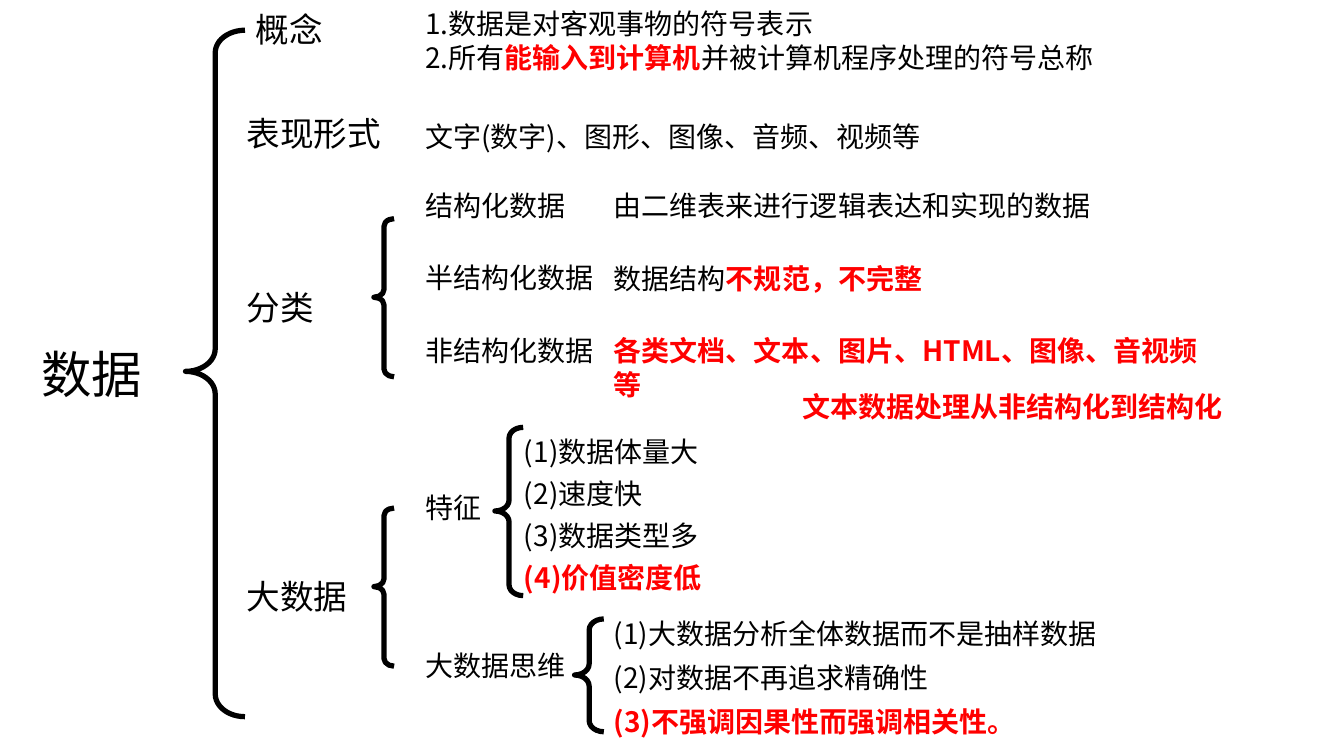
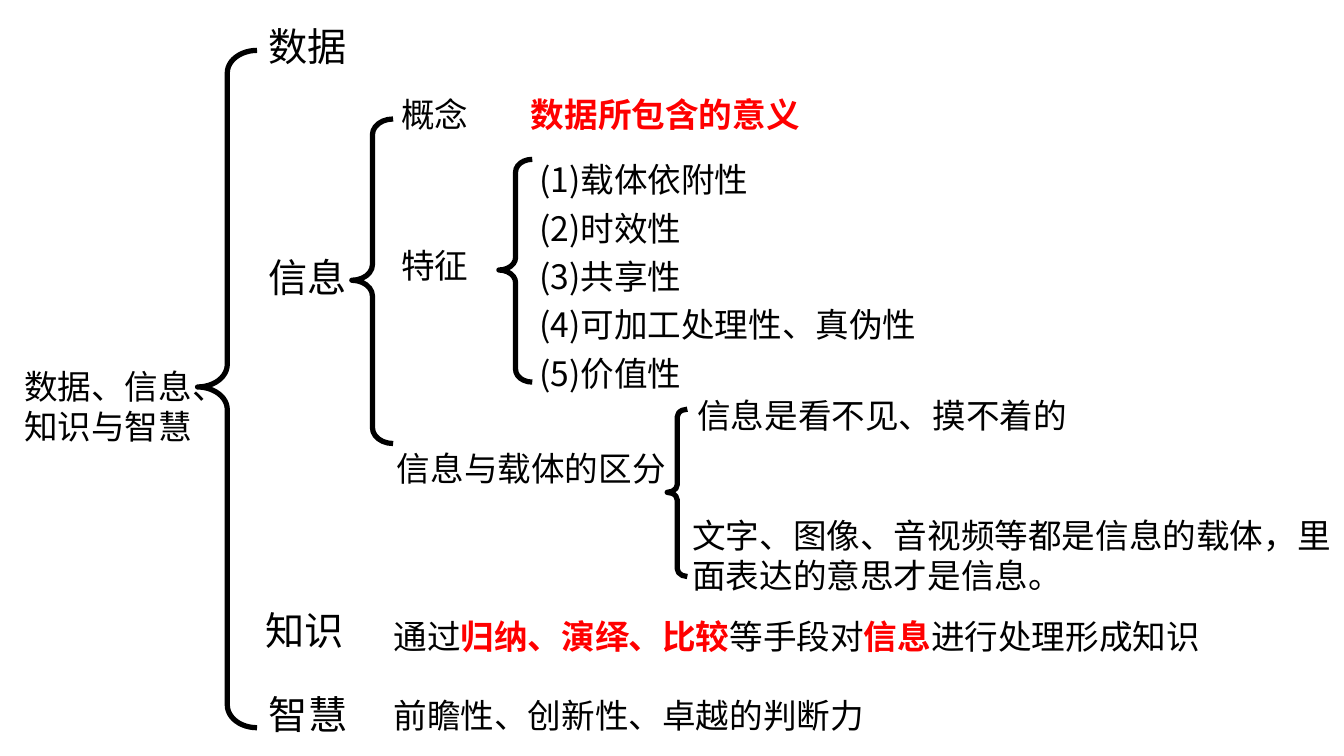
from dataclasses import dataclass

from pptx import Presentation
from pptx.dml.color import RGBColor
from pptx.enum.shapes import MSO_SHAPE
from pptx.enum.text import MSO_AUTO_SIZE
from pptx.oxml.ns import qn
from pptx.util import Pt

LEFT_BRACE = MSO_SHAPE.LEFT_BRACE
GROW = MSO_AUTO_SIZE.SHAPE_TO_FIT_TEXT


@dataclass(frozen=True)
class Theme:
    """Colours, type sizes and measures shared by the slides."""
    ink: RGBColor = RGBColor(0, 0, 0)
    accent: RGBColor = RGBColor(255, 0, 0)
    font: str = "Noto Sans CJK SC"
    root: int = 36
    head: int = 28
    branch: int = 24
    detail: int = 20
    stroke: float = 3.75
    brace_curve: float = 0.38
    brace_tip: float = 0.497
    line_height: float = 1.2
    inset: float = 3.6


T = Theme()

# Columns where the text of each level starts
BRANCH, TOPIC, NOTE = 169, 296.6, 431.3
HEAD, LEAF = 185, 279.4

# Text: left, top, width, size, line spacing, paragraphs (*...* is emphasis)
# Braces: left, top, width, height
SLIDES = [
    {
        "texts": [
            (22.3, 241.2, 86.4, T.root, 1, ["数据"]),
            (175.7, 2.9, 63.4, T.branch, 1, ["概念"]),
            (BRANCH, 77, 116, T.branch, 1, ["表现形式"]),
            (BRANCH, 201.6, 70.6, T.branch, 1, ["分类"]),
            (BRANCH, 408.2, 116, T.branch, 1, ["大数据"]),
            (TOPIC, 1.4, 507.6, T.detail, 1,
             ["1.数据是对客观事物的符号表示",
              "2.所有*能输入到计算机*并被计算机程序处理的符号总称"]),
            (TOPIC, 82.1, 445.7, T.detail, 1,
             ["文字(数字)、图形、图像、音频、视频等"]),
            (TOPIC, 131, 172.8, T.detail, 1, ["结构化数据"]),
            (TOPIC, 182.2, 172.8, T.detail, 1, ["半结构化数据"]),
            (TOPIC, 234.7, 134.6, T.detail, 1, ["非结构化数据"]),
            (NOTE, 131, 381.6, T.detail, 1, ["由二维表来进行逻辑表达和实现的数据"]),
            (NOTE, 182.9, 275, T.detail, 1, ["数据结构*不规范，不完整*"]),
            (NOTE, 234.7, 438.5, T.detail, 1,
             ["*各类文档、文本、图片、HTML、图像、音视频等*"]),
            (565.9, 275, 381.6, T.detail, 1, ["*文本数据处理从非结构化到结构化*"]),
            (TOPIC, 347, 66.2, T.detail, 1, ["特征"]),
            (367.2, 301, 284.4, T.detail, 1.25,
             ["(1)数据体量大", "(2)速度快", "(3)数据类型多", "*(4)价值密度低*"]),
            (TOPIC, 459.4, 119.5, T.detail, 1, ["大数据思维"]),
            (NOTE, 429.8, 415.4, T.detail, 1.3,
             ["(1)大数据分析全体数据而不是抽样数据", "(2)对数据不再追求精确性",
              "*(3)不强调因果性而强调相关性。*"]),
        ],
        "braces": [
            (132.5, 21.6, 42.5, 490.3),
            (267.1, 156.2, 14.4, 113),
            (267.1, 362.9, 14.4, 113),
            (353.5, 305.3, 20.2, 120.2),
            (410.4, 442.1, 20.9, 80.6),
        ],
    },
    {
        "texts": [
            (10.1, 257.8, 140.4, T.branch, 1, ["数据、信息、知识与智慧"]),
            (HEAD, 12.2, 89.3, T.head, 1, ["数据"]),
            (HEAD, 177.1, 89.3, T.head, 1, ["信息"]),
            (182.2, 429.8, 92.2, T.head, 1, ["知识"]),
            (HEAD, 489.6, 111.6, T.head, 1, ["智慧"]),
            (LEAF, 63.4, 127.4, T.branch, 1, ["概念"]),
            (372.2, 63.4, 328.3, T.branch, 1, ["*数据所包含的意义*"]),
            (LEAF, 171.4, 77, T.branch, 1, ["特征"]),
            (378, 104.4, 301.7, T.branch, 1.2,
             ["(1)载体依附性", "(2)时效性", "(3)共享性",
              "(4)可加工处理性、真伪性", "(5)价值性"]),
            (276.5, 316.1, 233.3, T.branch, 1, ["信息与载体的区分"]),
            (491, 278.6, 307.4, T.branch, 1, ["信息是看不见、摸不着的"]),
            (487.4, 364.3, 491, T.branch, 1,
             ["文字、图像、音视频等都是信息的载体，里面表达的意思才是信息。"]),
            (274, 436.3, 661, T.branch, 1,
             ["通过*归纳、演绎、比较*等手段对*信息*进行处理形成知识"]),
            (274, 492.5, 356.4, T.branch, 1, ["前瞻性、创新性、卓越的判断力"]),
        ],
        "braces": [
            (141.1, 36, 42.5, 483.8),
            (251.3, 85, 29.5, 231.8),
            (356.4, 113.8, 23.8, 159.1),
            (476.6, 292.3, 14.4, 119.5),
        ],
    },
]


def add_run(p, text, size, strong):
    """Add one run, red and bold when strong."""
    r = p.add_run()
    r.text = text
    r.font.name = T.font
    r.font.size = Pt(size)
    r.font.bold = strong
    r.font.color.rgb = T.accent if strong else T.ink
    ea = r.font._element.makeelement(qn("a:ea"), {"typeface": T.font})
    r.font._element.find(qn("a:latin")).addnext(ea)


def add_text(s, left, top, width, size, spacing, paragraphs):
    """Add a wrapping text box that grows with its paragraphs."""
    height = len(paragraphs) * size * T.line_height * spacing + 2 * T.inset
    sp = s.shapes.add_textbox(Pt(left), Pt(top), Pt(width), Pt(height))
    tf = sp.text_frame
    tf.word_wrap = True
    tf.auto_size = GROW
    for i, text in enumerate(paragraphs):
        p = tf.add_paragraph() if i else tf.paragraphs[0]
        p.line_spacing = spacing
        for j, part in enumerate(text.split("*")):
            if part:
                add_run(p, part, size, j % 2 == 1)


def add_brace(s, left, top, width, height):
    """Add an unfilled brace that opens to the right."""
    sp = s.shapes.add_shape(LEFT_BRACE, Pt(left), Pt(top), Pt(width), Pt(height))
    sp.adjustments[0] = T.brace_curve
    sp.adjustments[1] = T.brace_tip
    sp.shadow.inherit = False
    sp.fill.background()
    sp.line.color.rgb = T.ink
    sp.line.width = Pt(T.stroke)


prs = Presentation()
prs.slide_width, prs.slide_height = Pt(960), Pt(540)
for content in SLIDES:
    s = prs.slides.add_slide(prs.slide_layouts[6])
    for brace in content["braces"]:
        add_brace(s, *brace)
    for text in content["texts"]:
        add_text(s, *text)
prs.save("out.pptx")
